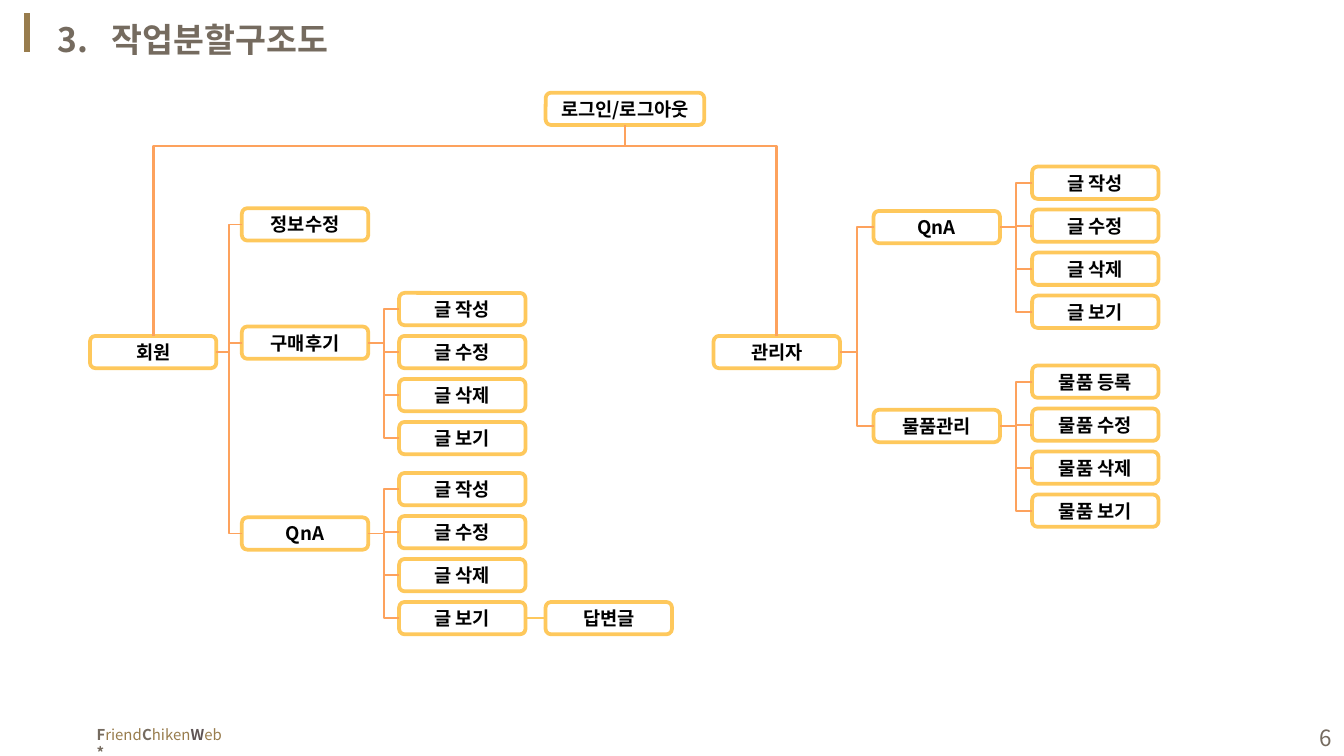
from lxml.etree import SubElement
from pptx import Presentation
from pptx.dml.color import RGBColor
from pptx.enum.shapes import MSO_CONNECTOR, MSO_SHAPE
from pptx.enum.text import MSO_ANCHOR, PP_ALIGN
from pptx.oxml.ns import qn
from pptx.util import Inches, Pt

FONT = "Noto Sans CJK KR"
BROWN = RGBColor(0x75, 0x6B, 0x5F)
GOLD = RGBColor(0x98, 0x7C, 0x4D)
DARK = RGBColor(0x5F, 0x55, 0x56)
YELLOW = RGBColor(0xFE, 0xC8, 0x5C)
ORANGE = RGBColor(0xFD, 0xA2, 0x5D)
WHITE = RGBColor(0xFF, 0xFF, 0xFF)
BLACK = RGBColor(0x00, 0x00, 0x00)

# Grid in inches: one column per level of each branch, one row pitch for leaves
BOX_W, BOX_H = 0.94, 0.24
ROOT_X, ROOT_Y, ROOT_W = 4.06, 0.69, 1.18
HEAD_Y = 2.5
LEAF_PITCH = 0.32
POSTS = ["글 작성", "글 수정", "글 삭제", "글 보기"]
GOODS = ["물품 등록", "물품 수정", "물품 삭제", "물품 보기"]

# head, its column, group column, leaf column, groups (name, row, first leaf row, leaves)
BRANCHES = [
    ("회원", 0.67, 1.8, 2.97, [
        ("정보수정", 1.55, 0, []),
        ("구매후기", 2.43, 2.18, POSTS),
        ("QnA", 3.85, 3.52, POSTS),
    ]),
    ("관리자", 5.31, 6.5, 7.68, [
        ("QnA", 1.57, 1.24, POSTS),
        ("물품관리", 3.05, 2.72, GOODS),
    ]),
]

prs = Presentation()
prs.slide_width = Inches(10)
prs.slide_height = prs.slide_width * 9 // 16
s = prs.slides.add_slide(prs.slide_layouts[5])


def add_run(p, text, size, color, bold=False):
    r = p.add_run()
    r.text = text
    r.font.size, r.font.bold, r.font.name = Pt(size), bold, FONT
    r.font.color.rgb = color
    SubElement(r.font._element, qn("a:ea")).set("typeface", FONT)


def add_line(kind, x1, y1, x2, y2, color, width):
    cxn = s.shapes.add_connector(kind, Inches(x1), Inches(y1), Inches(x2), Inches(y2))
    cxn.line.color.rgb, cxn.line.width = color, Pt(width)
    SubElement(cxn._element.spPr, qn("a:effectLst"))
    return cxn


# Title with its bar; the hanging indent sets the gap after the number
add_line(MSO_CONNECTOR.STRAIGHT, 0.2, 0.1, 0.2, 0.39, GOLD, 3)
title = s.shapes.title
title.left, title.top, title.width, title.height = (
    Inches(v) for v in (0.33, 0.09, 9.24, 0.4))
tf = title.text_frame
tf.vertical_anchor = MSO_ANCHOR.TOP
p = tf.paragraphs[0]
p.alignment = PP_ALIGN.LEFT
pPr = p._p.get_or_add_pPr()
pPr.set("marL", str(Inches(0.4)))
pPr.set("indent", str(-Inches(0.4)))
add_run(p, "3.\t작업분할구조도", 18, BROWN, True)

# Footer and page number
tf = s.shapes.add_textbox(Inches(0.62), Inches(5.35), Inches(1.2), Inches(0.24)).text_frame
tf.word_wrap = True
for text, color, bold in [("F", BROWN, True), ("riend", GOLD, False),
                          ("C", BROWN, True), ("hiken", GOLD, False),
                          ("W", DARK, True), ("eb ", GOLD, False),
                          ("*", BROWN, True)]:
    add_run(tf.paragraphs[0], text, 8, color, bold)

tf = s.shapes.add_textbox(Inches(7.68), Inches(5.34), Inches(2.33), Inches(0.3)).text_frame
tf.word_wrap = True
tf.vertical_anchor = MSO_ANCHOR.MIDDLE
tf.paragraphs[0].alignment = PP_ALIGN.RIGHT
add_run(tf.paragraphs[0], "6", 12, BROWN)

# Lay out the tree: boxes, then links by box centre lines
boxes = [("로그인/로그아웃", ROOT_X, ROOT_Y, ROOT_W), ("답변글", ROOT_X, 4.48, BOX_W)]
links = []
for head, head_x, group_x, leaf_x, groups in BRANCHES:
    boxes.append((head, head_x, HEAD_Y, BOX_W))
    for group, group_y, leaf_y, leaves in groups:
        boxes.append((group, group_x, group_y, BOX_W))
        links.append((head_x, HEAD_Y, group_x, group_y))
        for i, leaf in enumerate(leaves):
            y = leaf_y + i * LEAF_PITCH
            boxes.append((leaf, leaf_x, y, BOX_W))
            links.append((group_x, group_y, leaf_x, y))

for text, x, y, w in boxes:
    sp = s.shapes.add_shape(MSO_SHAPE.ROUNDED_RECTANGLE,
                            Inches(x), Inches(y), Inches(w), Inches(BOX_H))
    sp.shadow.inherit = False
    sp.fill.solid()
    sp.fill.fore_color.rgb = WHITE
    sp.line.color.rgb, sp.line.width = YELLOW, Pt(2)
    tf = sp.text_frame
    tf.margin_left = tf.margin_right = tf.margin_top = tf.margin_bottom = 0
    tf.vertical_anchor = MSO_ANCHOR.MIDDLE
    tf.paragraphs[0].alignment = PP_ALIGN.CENTER
    add_run(tf.paragraphs[0], text, 10, BLACK, True)

for parent_x, parent_y, child_x, child_y in links:
    add_line(MSO_CONNECTOR.ELBOW, child_x, child_y + BOX_H / 2,
             parent_x + BOX_W, parent_y + BOX_H / 2, ORANGE, 1)
add_line(MSO_CONNECTOR.STRAIGHT, ROOT_X, 4.6, 2.97 + BOX_W, 4.6, YELLOW, 1)

# Heads to root: elbows turned by 270 degrees so that they leave upwards
root_mid, root_bottom = ROOT_X + ROOT_W / 2, ROOT_Y + BOX_H
for _, head_x, *_ in BRANCHES:
    head_mid = head_x + BOX_W / 2
    cx, cy = (head_mid + root_mid) / 2, (HEAD_Y + root_bottom) / 2
    rise, run = HEAD_Y - root_bottom, root_mid - head_mid
    cxn = add_line(MSO_CONNECTOR.ELBOW, cx - rise / 2, cy - run / 2,
                   cx + rise / 2, cy + run / 2, ORANGE, 1.5)
    spPr = cxn._element.spPr
    spPr.find(qn("a:xfrm")).set("rot", str(270 * 60000))
    guides = spPr.find(qn("a:prstGeom")).find(qn("a:avLst"))
    gd = SubElement(guides, qn("a:gd"))
    gd.set("name", "adj1")
    gd.set("fmla", "val 90000")

prs.save("out.pptx")
